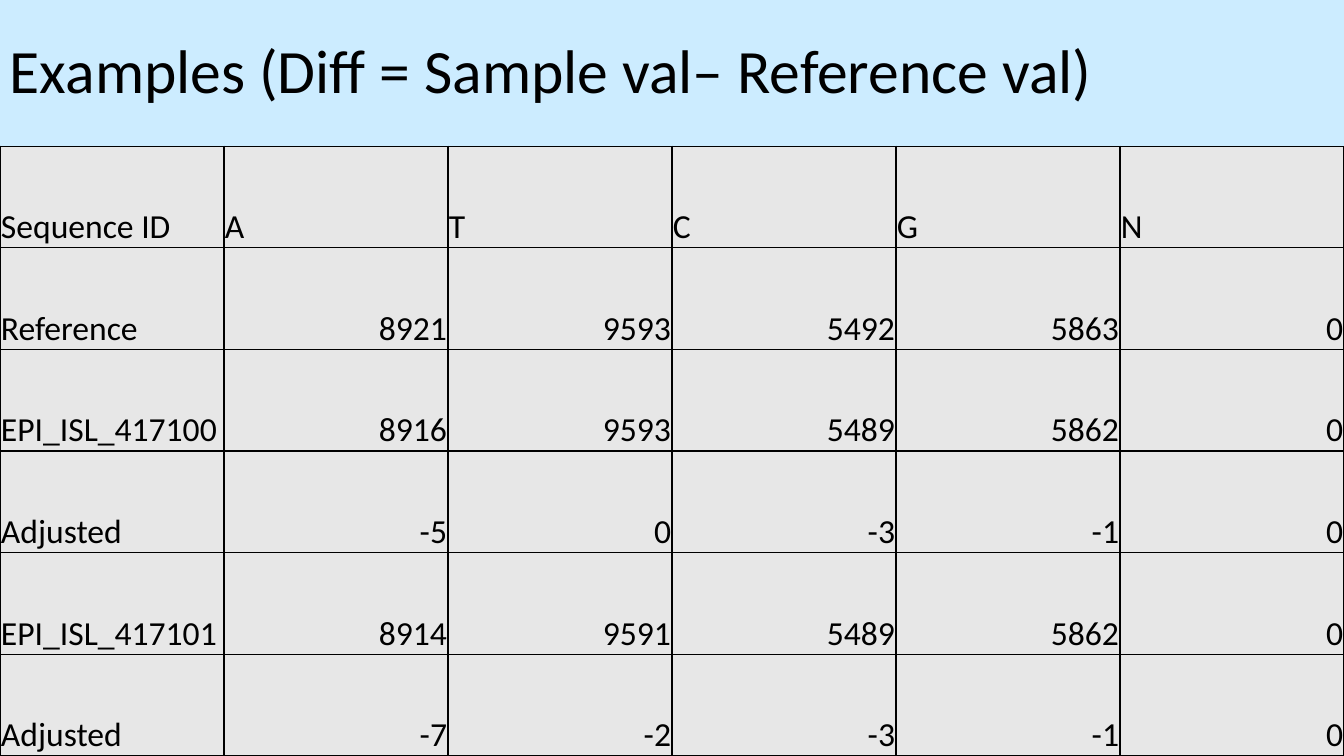
from lxml.etree import SubElement
from pptx import Presentation
from pptx.dml.color import RGBColor
from pptx.enum.text import MSO_ANCHOR, PP_ALIGN
from pptx.oxml.ns import qn
from pptx.util import Inches, Pt

SKY = RGBColor(0xCC, 0xEC, 0xFF)
GREY = RGBColor(0xE7, 0xE7, 0xE7)
BLACK = RGBColor(0, 0, 0)
WIDTH, HEIGHT, TITLE_HEIGHT = 13.33, 7.5, 1.45

COUNTS = [
    ["Sequence ID", "A", "T", "C", "G", "N"],
    ["Reference", 8921, 9593, 5492, 5863, 0],
    ["EPI_ISL_417100", 8916, 9593, 5489, 5862, 0],
    ["Adjusted", -5, 0, -3, -1, 0],
    ["EPI_ISL_417101", 8914, 9591, 5489, 5862, 0],
    ["Adjusted", -7, -2, -3, -1, 0],
]


def style_text(paragraph, size):
    font = paragraph.runs[0].font
    font.name = "Calibri"
    font.size = Pt(size)
    font.color.rgb = BLACK


def add_borders(cell):
    properties = cell._tc.get_or_add_tcPr()
    for side in ("lnL", "lnR", "lnT", "lnB"):
        line = SubElement(properties, qn(f"a:{side}"), w=str(Pt(1)))
        fill = SubElement(line, qn("a:solidFill"))
        SubElement(fill, qn("a:srgbClr"), val=str(BLACK))


prs = Presentation()
prs.slide_width = Inches(WIDTH)
prs.slide_height = Inches(HEIGHT)
slide = prs.slides.add_slide(prs.slide_layouts[6])
slide.background.fill.solid()
slide.background.fill.fore_color.rgb = SKY

title = slide.shapes.add_textbox(0, 0, Inches(11.5), Inches(TITLE_HEIGHT)).text_frame
title.word_wrap = True
title.vertical_anchor = MSO_ANCHOR.MIDDLE
title.text = "Examples (Diff = Sample val– Reference val)"
title.paragraphs[0].line_spacing = 0.9
style_text(title.paragraphs[0], 44)

counts_table = slide.shapes.add_table(
    len(COUNTS), len(COUNTS[0]), 0, Inches(TITLE_HEIGHT),
    Inches(WIDTH), Inches(HEIGHT - TITLE_HEIGHT),
).table

for row, values in enumerate(COUNTS):
    for column, value in enumerate(values):
        cell = counts_table.cell(row, column)
        cell.text = str(value)
        cell.vertical_anchor = MSO_ANCHOR.BOTTOM
        cell.margin_left = cell.margin_right = cell.margin_top = Inches(0.01)
        cell.margin_bottom = 0
        add_borders(cell)
        cell.fill.solid()
        cell.fill.fore_color.rgb = GREY
        paragraph = cell.text_frame.paragraphs[0]
        paragraph.alignment = PP_ALIGN.RIGHT if isinstance(value, int) else PP_ALIGN.LEFT
        style_text(paragraph, 24)
        paragraph.runs[0].font.bold = False

prs.save("out.pptx")
